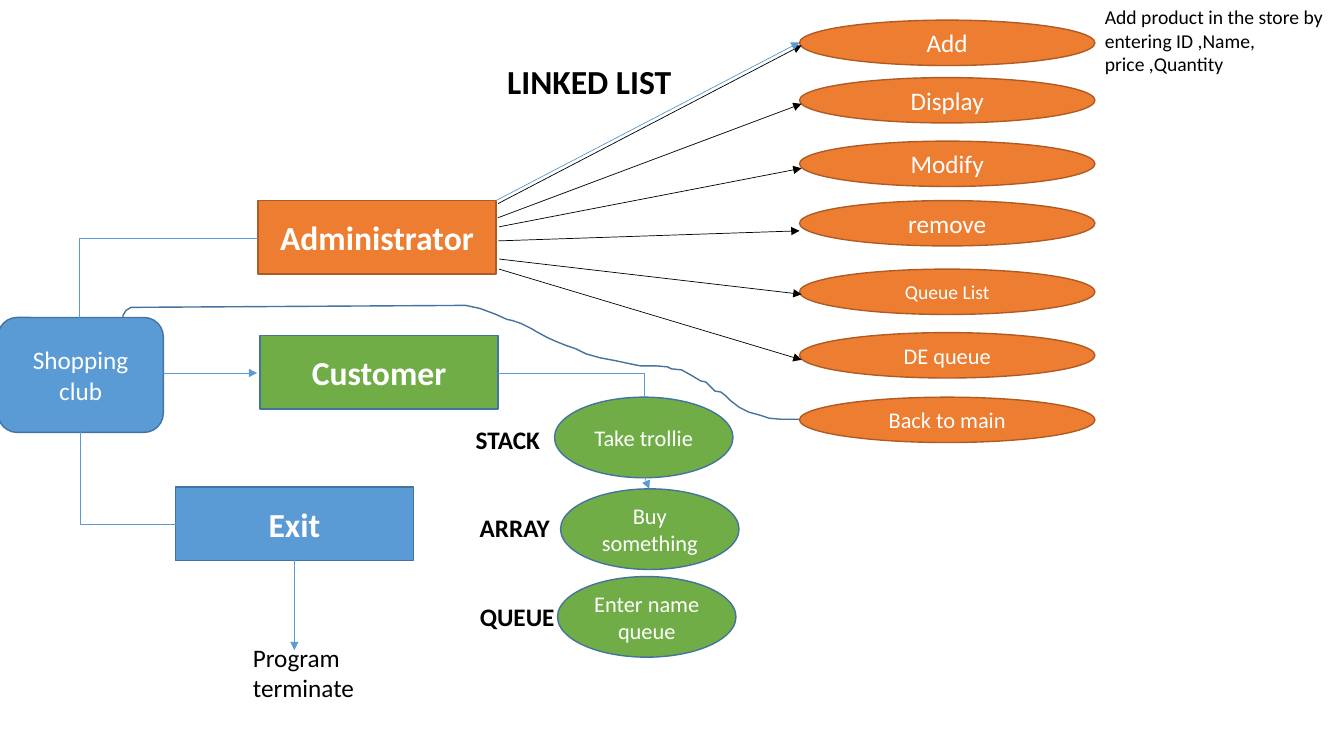
import pptx
import pptx.dml.color
import pptx.enum.shapes
import pptx.enum.text
import pptx.oxml
import pptx.oxml.ns
import pptx.util
from dataclasses import dataclass

Inches = pptx.util.Inches
Pt = pptx.util.Pt
Shape = pptx.enum.shapes.MSO_SHAPE
Connector = pptx.enum.shapes.MSO_CONNECTOR
Anchor = pptx.enum.text.MSO_ANCHOR
Align = pptx.enum.text.PP_ALIGN
AutoSize = pptx.enum.text.MSO_AUTO_SIZE


@dataclass(frozen=True)
class Theme:
    font: str = "Calibri"
    orange: str = "ED7D31"
    orange_edge: str = "AF5C24"
    green: str = "70AD47"
    blue: str = "5B9BD5"
    blue_edge: str = "43739E"
    black: str = "000000"
    white: str = "FFFFFF"
    heading: int = 24
    body: int = 18
    step: int = 16
    note: int = 14
    outline: float = 1
    thin: float = 0.5


def apply(target, formats):
    for name, value in formats.items():
        setattr(target, name, value)


def rgb(code):
    return pptx.dml.color.RGBColor.from_string(code)


class Diagram:
    def __init__(self, slide, theme):
        self.slide = slide
        self.theme = theme

    def set_text(self, frame, text, size, color, bold, align, anchor, wrap=True):
        apply(frame, {"text": text, "word_wrap": wrap, "vertical_anchor": anchor,
                      "auto_size": AutoSize.NONE})
        paragraph = frame.paragraphs[0]
        apply(paragraph, {"alignment": align, "line_spacing": 1.0})
        font = paragraph.runs[0].font
        apply(font, {"name": self.theme.font, "size": Pt(size), "bold": bold})
        font.color.rgb = rgb(color)

    def outline(self, item, color, width):
        item.line.color.rgb = rgb(color)
        item.line.width = Pt(width)

    def node(self, kind, box, text, size, fill, edge, bold=False, group=None):
        shapes = (group or self.slide).shapes
        node = shapes.add_shape(kind, *map(Inches, box))
        node.shadow.inherit = False
        node.fill.solid()
        node.fill.fore_color.rgb = rgb(fill)
        self.outline(node, edge, self.theme.outline)
        self.set_text(node.text_frame, text, size, self.theme.white, bold,
                      Align.CENTER, Anchor.MIDDLE)

    def label(self, box, text, size, bold=False, wrap=True):
        label = self.slide.shapes.add_textbox(*map(Inches, box))
        self.set_text(label.text_frame, text, size, self.theme.black, bold,
                      Align.LEFT, Anchor.TOP, wrap)

    def title(self, box, text):
        title = self.slide.shapes.title
        apply(title, dict(zip(("left", "top", "width", "height"), map(Inches, box))))
        self.set_text(title.text_frame, text, self.theme.heading, self.theme.black,
                      True, Align.LEFT, Anchor.TOP)

    def link(self, start, end, color, arrow="tailEnd", bent=False):
        kind = Connector.ELBOW if bent else Connector.STRAIGHT
        link = self.slide.shapes.add_connector(kind, *map(Inches, start + end))
        self.outline(link, color, self.theme.thin)
        properties = link._element.spPr
        if bent:
            properties.find(pptx.oxml.ns.qn("a:prstGeom")).set("prst", "bentConnector2")
        if arrow:
            head = pptx.oxml.parse_xml(
                f'<a:{arrow} {pptx.oxml.ns.nsdecls("a")} type="triangle"/>')
            properties.find(pptx.oxml.ns.qn("a:ln")).append(head)
        properties.append(pptx.oxml.parse_xml(
            f'<a:effectLst {pptx.oxml.ns.nsdecls("a")}/>'))

    def curve(self, points, color):
        start, *rest = [tuple(map(Inches, point)) for point in points]
        builder = self.slide.shapes.build_freeform(*start)
        builder.add_line_segments(rest, close=False)
        curve = builder.convert_to_shape()
        curve.shadow.inherit = False
        curve.fill.background()
        self.outline(curve, color, self.theme.outline)


RETURN_PATH = [
    (7.95, 4.16), (7.75, 4.16), (7.63, 4.15), (7.54, 4.12), (7.43, 4.09),
    (7.33, 4.04), (7.24, 3.97), (7.19, 3.92), (7.15, 3.89), (7.09, 3.88),
    (7, 3.79), (6.95, 3.78), (6.85, 3.72), (6.76, 3.67), (6.66, 3.66),
    (6.62, 3.64), (6.5, 3.63), (6.35, 3.63), (6.25, 3.61), (6.11, 3.58),
    (5.95, 3.55), (5.81, 3.51), (5.71, 3.46), (5.62, 3.43), (5.52, 3.39),
    (5.43, 3.35), (5.32, 3.29), (5.27, 3.26), (5.17, 3.21), (5.08, 3.18),
    (5.03, 3.17), (4.92, 3.12), (4.76, 3.06), (4.71, 3.05), (4.62, 3.03),
    (1.3, 3.05), (1.25, 3.08), (1.22, 3.13), (1.22, 3.24),
]


def main():
    deck = pptx.Presentation()
    apply(deck, {"slide_width": Inches(13.33), "slide_height": Inches(7.5)})
    slide = deck.slides.add_slide(deck.slide_layouts[5])
    theme = Theme()
    diagram = Diagram(slide, theme)

    diagram.title((4.93, 0.55, 2, 0.5), "LINKED LIST")
    diagram.curve(RETURN_PATH, theme.blue_edge)

    for role, left, top, fill, edge in [
        ("Administrator", 2.56, 1.99, theme.orange, theme.orange_edge),
        ("Customer", 2.58, 3.33, theme.green, theme.blue_edge),
        ("Exit", 1.74, 4.83, theme.blue, theme.blue_edge),
    ]:
        diagram.node(Shape.RECTANGLE, (left, top, 2.36, 0.73), role,
                     theme.heading, fill, edge, bold=True)
    diagram.node(Shape.ROUNDED_RECTANGLE, (-0.02, 3.15, 1.64, 1.14),
                 "Shopping club", theme.body, theme.blue, theme.blue_edge)

    diagram.link((1.62, 3.7), (2.55, 3.7), theme.blue)
    diagram.link((2.55, 5.2), (0.8, 4.27), theme.blue, arrow="headEnd", bent=True)
    diagram.link((2.56, 2.36), (0.79, 3.15), theme.blue, arrow=None, bent=True)
    diagram.link((2.92, 5.56), (2.92, 6.45), theme.blue)
    diagram.label((2.41, 6.32, 1.33, 0.73), "Program terminate", theme.body)

    menu = slide.shapes.add_group_shape()
    for action, top, size in [
        ("Add", 0.2, theme.body),
        ("Display", 0.77, theme.body),
        ("Modify", 1.4, theme.body),
        ("remove", 1.99, theme.body),
        ("Queue List", 2.67, theme.note),
        ("DE queue", 3.3, theme.step),
        ("Back to main", 3.94, theme.step),
    ]:
        diagram.node(Shape.OVAL, (7.93, top, 2.93, 0.45), action, size,
                     theme.orange, theme.orange_edge, group=menu)

    for start, end in [
        ((4.94, 2.02), (7.95, 0.45)),
        ((4.94, 2.16), (7.95, 1.03)),
        ((4.95, 2.25), (7.95, 1.67)),
        ((4.94, 2.39), (7.93, 2.29)),
        ((4.95, 2.57), (7.95, 2.92)),
        ((4.95, 2.67), (7.95, 3.57)),
    ]:
        diagram.link(start, end, theme.black)
    diagram.link((4.92, 1.99), (7.93, 0.42), theme.blue)

    for step, left, top in [
        ("Take trollie", 5.5, 3.94),
        ("Buy something", 5.56, 4.85),
        ("Enter name queue", 5.53, 5.72),
    ]:
        diagram.node(Shape.OVAL, (left, top, 1.77, 0.8), step, theme.step,
                     theme.green, theme.blue_edge)
    diagram.link((4.94, 3.7), (6.39, 3.94), theme.blue, arrow=None, bent=True)
    diagram.link((6.39, 4.73), (6.44, 4.85), theme.blue)

    diagram.label((10.86, 0, 2.47, 0.81),
                  "Add product in the store by entering ID ,Name, price ,Quantity",
                  theme.note)
    for structure, left, top, width, wrap in [
        ("STACK", 4.62, 4.16, 1.11, True),
        ("ARRAY", 4.66, 5.03, 0.9, False),
        ("QUEUE", 4.66, 5.92, 0.95, False),
    ]:
        diagram.label((left, top, width, 0.4), structure, theme.body, True, wrap)

    deck.save("out.pptx")


if __name__ == "__main__":
    main()
